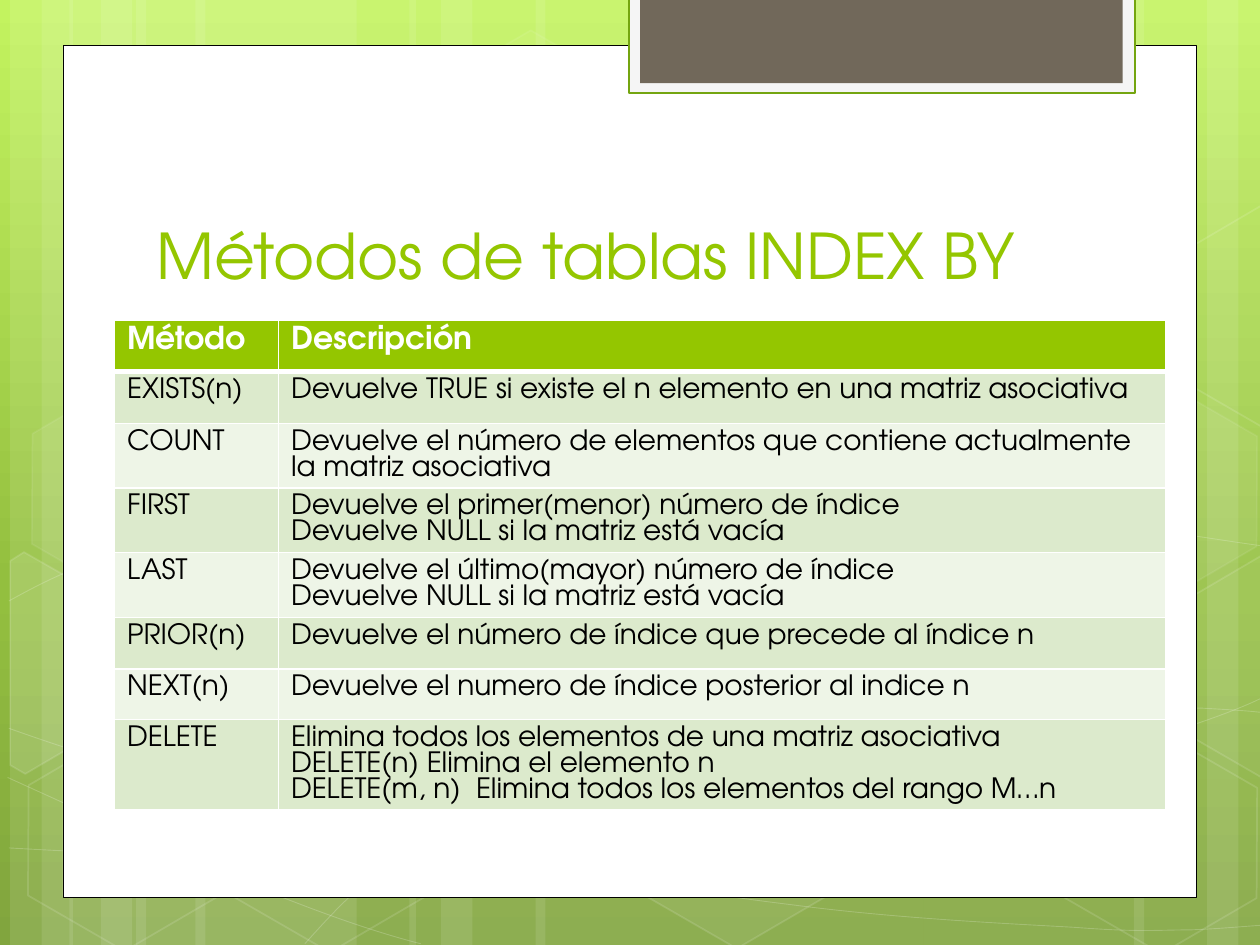
from dataclasses import dataclass
from math import cos, radians, sin
from typing import Optional

from lxml.etree import SubElement
from pptx import Presentation
from pptx.dml.color import RGBColor
from pptx.enum.shapes import MSO_SHAPE as Shape
from pptx.enum.text import MSO_ANCHOR as Anchor, PP_ALIGN as Align
from pptx.oxml.ns import qn
from pptx.util import Pt

PX = 9144  # EMU per px, 100 px to the inch
FONT = "TeX Gyre Adventor"
WHITE, BLACK, GREEN = "FFFFFF", "000000", "94C600"
BANDS = ("DCEACC", "EEF5E7")
TILT = 30  # degrees, for every hexagon
Point = tuple[float, float]


@dataclass
class Paint:
    color: str
    alpha: int = 100
    width: float = 0  # points, for lines only


@dataclass
class Hexagon:
    left: int
    top: int
    fill_alpha: int
    line_alpha: int


@dataclass
class CutHexagon:
    center: Point
    corners: list[Point]
    fill_alpha: int


def px(length: float) -> int:
    return round(length * PX)


def rgb(color: str) -> RGBColor:
    return RGBColor.from_string(color)


def set_color(fill, properties, route: str, paint: Optional[Paint]) -> None:
    if paint is None or paint.alpha == 0:
        fill.background()
        return
    fill.solid()
    fill.fore_color.rgb = rgb(paint.color)
    if paint.alpha < 100:
        color = properties.find(f"{route}{qn('a:solidFill')}/{qn('a:srgbClr')}")
        SubElement(color, qn("a:alpha"), val=str(paint.alpha * 1000))


def style(shape, fill: Optional[Paint], line: Optional[Paint]) -> None:
    shape.shadow.inherit = False
    properties = shape.element.spPr
    set_color(shape.fill, properties, "", fill)
    set_color(shape.line.fill, properties, qn("a:ln") + "/", line)
    if line:
        shape.line.width = Pt(line.width)


def add_preset(shapes, kind, box, fill=None, line=None):
    shape = shapes.add_shape(kind, *map(px, box))
    style(shape, fill, line)
    return shape


def add_outline(shapes, points: list[Point], closed: bool, fill, line):
    start, *rest = [(px(x), px(y)) for x, y in points]
    builder = shapes.build_freeform(*start)
    builder.add_line_segments(rest, close=closed)
    shape = builder.convert_to_shape()
    style(shape, fill, line)
    return shape


def bend(shape) -> None:
    """Join every three straight segments into one cubic curve."""
    outline = shape.element.find(".//" + qn("a:path"))
    segments = outline.findall(qn("a:lnTo"))
    for first in range(0, len(segments), 3):
        curve = SubElement(outline, qn("a:cubicBezTo"))
        for segment in segments[first:first + 3]:
            curve.append(segment[0])
            outline.remove(segment)


def untilt(point: Point, center: Point) -> Point:
    x, y = point[0] - center[0], point[1] - center[1]
    c, s = cos(radians(TILT)), sin(radians(TILT))
    return center[0] + x * c + y * s, center[1] - x * s + y * c


def write(frame, lines: list[str], size: int, color: str, bold=False, spacing=None) -> None:
    frame.text = "\n".join(lines)
    for paragraph in frame.paragraphs:
        paragraph.alignment = Align.LEFT
        font = paragraph.font
        font.name, font.size, font.bold = FONT, Pt(size), bold
        font.color.rgb = rgb(color)
        if spacing:
            paragraph.line_spacing = Pt(spacing)


def set_borders(cell, bottom: int) -> None:
    properties = cell._tc.get_or_add_tcPr()
    for index, (side, width) in enumerate((("L", 1), ("R", 1), ("T", 1), ("B", bottom))):
        border = properties.makeelement(qn(f"a:ln{side}"), {"w": str(Pt(width))})
        SubElement(SubElement(border, qn("a:solidFill")), qn("a:srgbClr"), val=WHITE)
        properties.insert(index, border)


# Left and width of the pale vertical bars
BARS = [(108, 175), (8, 50), (33, 83), (155, 175), (55, 50), (80, 83),
        (733, 175), (958, 50), (900, 83), (425, 308), (325, 50), (350, 83)]

# A start, then three knots per curve
WAVES = [
    [(7, 673), (61, 676), (115, 679), (190, 678), (265, 677), (358, 675), (458, 665),
     (558, 655), (700, 636), (792, 617), (883, 598), (977, 568), (1007, 551)],
    [(7, 477), (36, 461), (65, 446), (121, 431), (178, 416), (259, 394), (347, 387),
     (436, 380), (544, 379), (654, 387), (764, 395), (947, 426), (1007, 434)],
    [(6, 617), (127, 672), (247, 727), (334, 749)],
    [(7, 578), (38, 589), (70, 600), (128, 616), (186, 631), (273, 656), (357, 673),
     (440, 690), (545, 708), (628, 718), (711, 729), (800, 733), (853, 736),
     (905, 740), (919, 738), (945, 738), (971, 737), (989, 735), (1007, 734)],
    [(242, 749), (260, 729), (278, 709), (302, 691), (326, 673), (360, 653), (388, 639),
     (416, 625), (433, 619), (470, 609), (506, 599), (573, 585), (608, 578),
     (644, 571), (649, 571), (680, 569), (711, 566), (760, 563), (794, 562),
     (829, 561), (886, 562), (886, 562), (908, 562), (931, 562), (953, 562),
     (971, 563), (988, 564), (997, 565), (1006, 566), (1003, 565), (1006, 566)],
]

HEXAGONS = [Hexagon(334, 36, 4, 8), Hexagon(497, 589, 6, 12), Hexagon(11, 591, 0, 12),
            Hexagon(14, 312, 7, 8), Hexagon(174, 592, 0, 12), Hexagon(753, 453, 10, 12),
            Hexagon(834, 593, 0, 12), Hexagon(834, 314, 7, 8)]

# Hexagons cut by the slide edge
LEFT_CUT = [(8, 445), (19, 438), (96, 482), (95, 570), (20, 614), (8, 607)]
RIGHT_CUT = [(926, 485), (1001, 441), (1009, 446), (1009, 613), (1002, 617), (926, 573)]
CUT_HEXAGONS = [CutHexagon((36, 535), LEFT_CUT, 10), CutHexagon((985, 520), RIGHT_CUT, 4),
                CutHexagon((985, 241), [(x, y - 278) for x, y in RIGHT_CUT], 0)]

# Row height, method, description lines
METHODS = [
    (41, "EXISTS(n)", ["Devuelve TRUE si existe el n elemento en una matriz asociativa"]),
    (51, "COUNT", ["Devuelve el número de elementos que contiene actualmente la matriz asociativa"]),
    (51, "FIRST", ["Devuelve el primer(menor) número de índice",
                   "Devuelve NULL si la matriz está vacía"]),
    (51, "LAST", ["Devuelve el último(mayor) número de índice",
                  "Devuelve NULL si la matriz está vacía"]),
    (41, "PRIOR(n)", ["Devuelve el número de índice que precede al índice n"]),
    (40, "NEXT(n)", ["Devuelve el numero de índice posterior al indice n"]),
    (71, "DELETE", ["Elimina todos los elementos de una matriz asociativa",
                    "DELETE(n) Elimina el elemento n",
                    "DELETE(m, n)  Elimina todos los elementos del rango M…n"]),
]


def draw_background(slide) -> None:
    fill = slide.background.fill
    fill.gradient()
    fill.gradient_angle = 270
    stops = slide.element.find(".//" + qn("a:gsLst"))
    for stop in list(stops):
        stops.remove(stop)
    for position, color in ((0, "C3F35F"), (62, "93BF3F"), (100, "81A53E")):
        stop = SubElement(stops, qn("a:gs"), pos=str(position * 1000))
        SubElement(stop, qn("a:srgbClr"), val=color)

    shapes = slide.shapes
    for left, width in BARS:
        add_preset(shapes, Shape.RECTANGLE, (left, 0, width, 750), Paint(WHITE, 10))
    for knots in WAVES:
        bend(add_outline(shapes, knots, False, None, Paint(WHITE, 20, 0.5)))
    for item in HEXAGONS:
        hexagon = add_preset(shapes, Shape.HEXAGON, (item.left, item.top, 175, 152),
                             Paint(WHITE, item.fill_alpha), Paint(WHITE, item.line_alpha, 1))
        hexagon.adjustments[0] = 0.285
        hexagon.rotation = TILT
    for cut in CUT_HEXAGONS:
        corners = [untilt(corner, cut.center) for corner in cut.corners]
        add_outline(shapes, corners, True, Paint(WHITE, cut.fill_alpha),
                    Paint(WHITE, 12, 1)).rotation = TILT


def draw_methods(shapes) -> None:
    rows = [(41, "Método", ["Descripción"])] + METHODS
    height = sum(row[0] for row in rows)
    table = shapes.add_table(len(rows), 2, *map(px, (91, 254, 834, height))).table
    for column, width in zip(table.columns, (130, 704)):
        column.width = px(width)
    for index, (row_height, method, description) in enumerate(rows):
        header = index == 0
        table.rows[index].height = px(row_height)
        for cell, lines in zip(table.rows[index].cells, ([method], description)):
            cell.fill.solid()
            cell.fill.fore_color.rgb = rgb(GREEN if header else BANDS[(index - 1) % 2])
            set_borders(cell, 3 if header else 1)
            write(cell.text_frame, lines, 18 if header else 16, WHITE if header else BLACK,
                  header, 16.7 if header else 14.85)


def main() -> None:
    deck = Presentation()
    deck.slide_width, deck.slide_height = px(1000), px(750)
    slide = deck.slides.add_slide(deck.slide_layouts[5])
    shapes = slide.shapes
    draw_background(slide)

    # White page and the tab at its top
    add_preset(shapes, Shape.RECTANGLE, (50, 36, 900, 676), Paint(WHITE), Paint(BLACK, 100, 0.5))
    add_preset(shapes, Shape.RECTANGLE, (499, -2, 402, 76), Paint("F5F5F5"),
               Paint("74A510", 100, 1.25))
    add_preset(shapes, Shape.RECTANGLE, (508, -2, 383, 68), Paint("71685A"))

    # Title, brought in front of the page
    title = shapes.title
    title.left, title.top, title.width, title.height = map(px, (114, 112, 768, 125))
    title.text_frame.vertical_anchor = Anchor.BOTTOM
    write(title.text_frame, ["Métodos de tablas INDEX BY"], 36, GREEN)
    title.element.getparent().append(title.element)

    draw_methods(shapes)
    deck.save("out.pptx")


if __name__ == "__main__":
    main()
